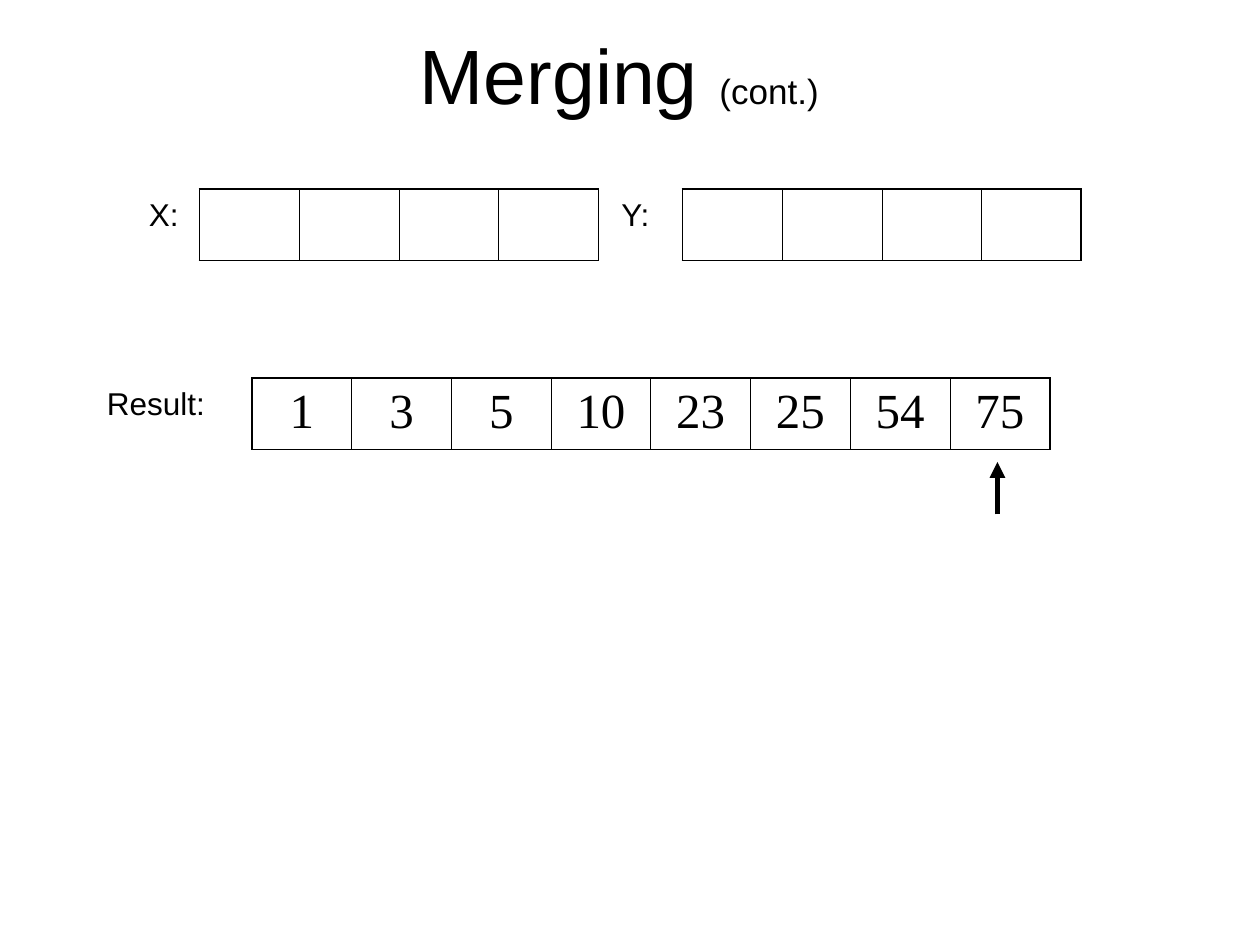
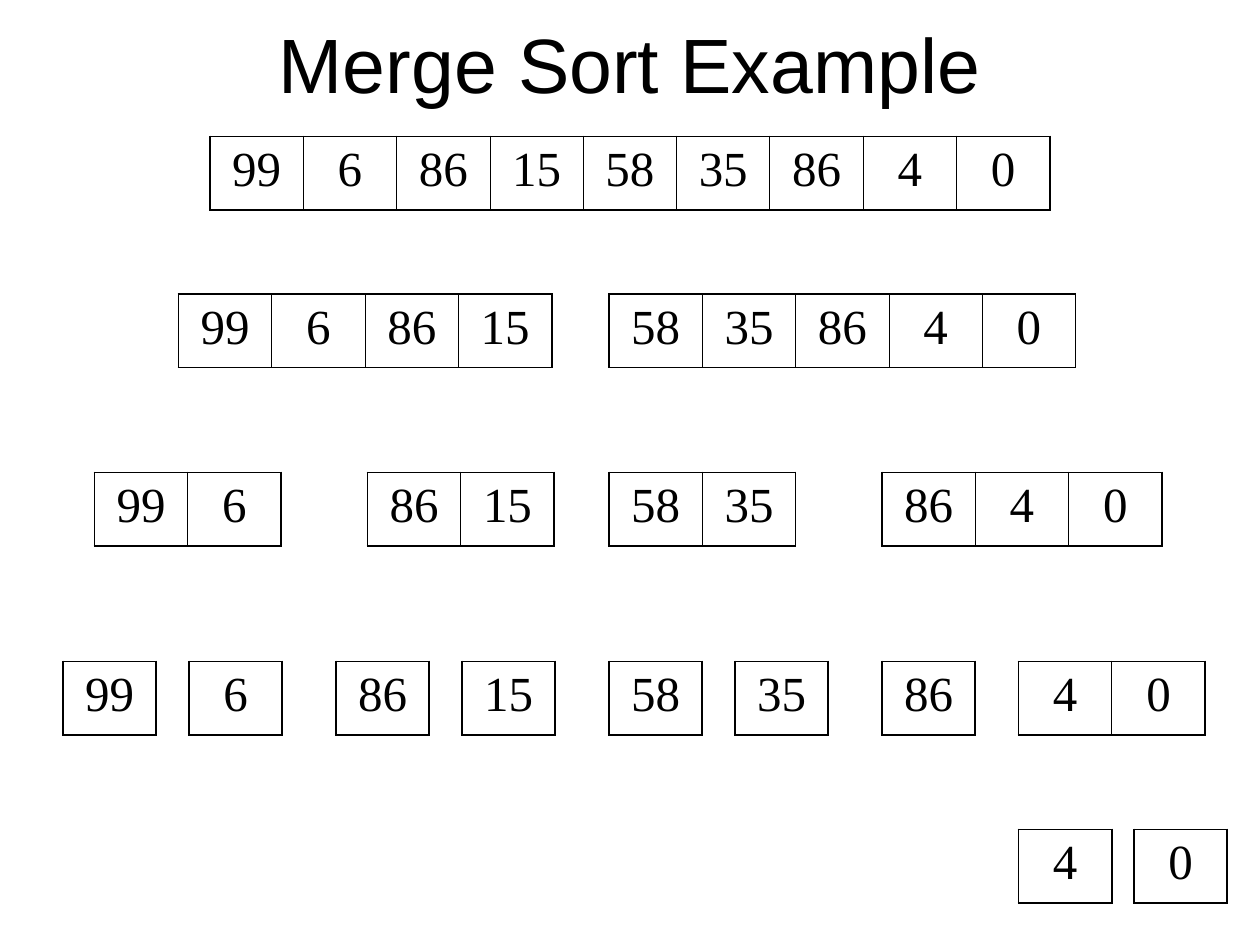
"""Build two slides on merging and merge sort."""
from lxml import etree
from pptx import Presentation
from pptx import util as u
from pptx.dml.color import RGBColor
from pptx.enum import shapes, text
from pptx.oxml import ns

BLACK = RGBColor(0x00, 0x00, 0x00)
LABEL_FONT = "Arial"
NUMBER_FONT = "Times New Roman"
TITLE_SIZE, SMALL_TITLE_SIZE, LABEL_SIZE, NUMBER_SIZE = 44, 20, 18, 28
OUTER_LINE, INNER_LINE, ARROW_LINE = 1.08, 0.45, 3
GRID_COLUMNS, GRID_ROWS = 120, 90
NUMBERS = [99, 6, 86, 15, 58, 35, 86, 4, 0]
SPLITS = [
    (13, [(20, 0, 9)]),
    (28, [(17, 0, 4), (58, 4, 9)]),
    (45, [(9, 0, 2), (35, 2, 4), (58, 4, 6), (84, 6, 9)]),
    (63, [(6, 0, 1), (18, 1, 2), (32, 2, 3), (44, 3, 4),
          (58, 4, 5), (70, 5, 6), (84, 6, 7), (97, 7, 9)]),
    (79, [(97, 7, 8), (108, 8, 9)]),
]


class Deck:
    """Holds the shared style and the current slide."""

    def __init__(self):
        self.presentation = Presentation()
        self.presentation.slide_width = u.Inches(10)
        self.presentation.slide_height = u.Inches(7.5)
        self.slide = None

    def x(self, columns):
        return round(self.presentation.slide_width * columns / GRID_COLUMNS)

    def y(self, rows):
        return round(self.presentation.slide_height * rows / GRID_ROWS)

    def box(self, column, row, columns, rows):
        return self.x(column), self.y(row), self.x(columns), self.y(rows)

    def style(self, run, name, size):
        run.font.name = name
        run.font.size = u.Pt(size)
        run.font.color.rgb = BLACK

    def add_slide(self, title_runs, row, rows):
        layout = self.presentation.slide_layouts[5]
        self.slide = self.presentation.slides.add_slide(layout)
        title = self.slide.shapes.title
        title.left, title.top, title.width, title.height = self.box(9, row, 102, rows)
        frame = title.text_frame
        frame.vertical_anchor = text.MSO_ANCHOR.MIDDLE
        frame.auto_size = text.MSO_AUTO_SIZE.NONE
        paragraph = frame.paragraphs[0]
        paragraph.alignment = text.PP_ALIGN.CENTER
        for words, size in title_runs:
            run = paragraph.add_run()
            run.text = words
            self.style(run, LABEL_FONT, size)

    def add_label(self, words, column, row, columns):
        label = self.slide.shapes.add_textbox(*self.box(column, row, columns, 4.8))
        label.text_frame.word_wrap = True
        label.text_frame.text = words
        self.style(label.text_frame.paragraphs[0].runs[0], LABEL_FONT, LABEL_SIZE)

    def add_border(self, cell, side, points):
        properties = cell._tc.get_or_add_tcPr()
        line = etree.SubElement(properties, ns.qn(f"a:ln{side}"), w=str(u.Pt(points)))
        fill = etree.SubElement(line, ns.qn("a:solidFill"))
        etree.SubElement(fill, ns.qn("a:srgbClr"), val=str(BLACK))

    def add_array(self, values, column, row, cell_columns, cell_rows):
        count = len(values)
        frame = self.slide.shapes.add_table(
            1, count, *self.box(column, row, cell_columns * count, cell_rows))
        table = frame.table
        table.first_row = table.horz_banding = False
        for index, value in enumerate(values):
            table.columns[index].width = self.x(cell_columns)
            cell = table.cell(0, index)
            self.add_border(cell, "L", INNER_LINE if index else OUTER_LINE)
            self.add_border(cell, "R", INNER_LINE if index < count - 1 else OUTER_LINE)
            self.add_border(cell, "T", OUTER_LINE)
            self.add_border(cell, "B", OUTER_LINE)
            cell.fill.background()
            cell.text_frame.text = str(value)
            paragraph = cell.text_frame.paragraphs[0]
            paragraph.alignment = text.PP_ALIGN.CENTER
            for run in paragraph.runs:
                self.style(run, NUMBER_FONT, NUMBER_SIZE)

    def add_up_arrow(self, column, bottom, top):
        arrow = self.slide.shapes.add_connector(
            shapes.MSO_CONNECTOR.STRAIGHT,
            self.x(column), self.y(bottom), self.x(column), self.y(top))
        arrow.line.color.rgb = BLACK
        arrow.line.width = u.Pt(ARROW_LINE)
        etree.SubElement(arrow.line._get_or_add_ln(), ns.qn("a:tailEnd"), type="triangle")
        etree.SubElement(arrow._element.spPr, ns.qn("a:effectLst"))


def add_merging(deck):
    deck.add_slide([("Merging ", TITLE_SIZE), ("(cont.)", SMALL_TITLE_SIZE),
                    (" ", TITLE_SIZE)], 2, 10)
    for values, column, row in [([""] * 4, 19, 18), ([""] * 4, 65, 18),
                                ([1, 3, 5, 10, 23, 25, 54, 75], 24, 36)]:
        deck.add_array(values, column, row, 9.5, 6.8)
    deck.add_up_arrow(95, 49, 44)
    deck.add_label("X:", 13, 18, 7)
    deck.add_label("Y:", 58, 18, 7)
    deck.add_label("Result:", 9, 36, 14)


def add_merge_sort(deck):
    deck.add_slide([("Merge Sort Example", TITLE_SIZE)], 0, 12)
    for row, parts in SPLITS:
        for column, start, stop in parts:
            deck.add_array(NUMBERS[start:stop], column, row, 80 / 9, 7)


def main():
    deck = Deck()
    add_merging(deck)
    add_merge_sort(deck)
    deck.presentation.save("out.pptx")


if __name__ == "__main__":
    main()
